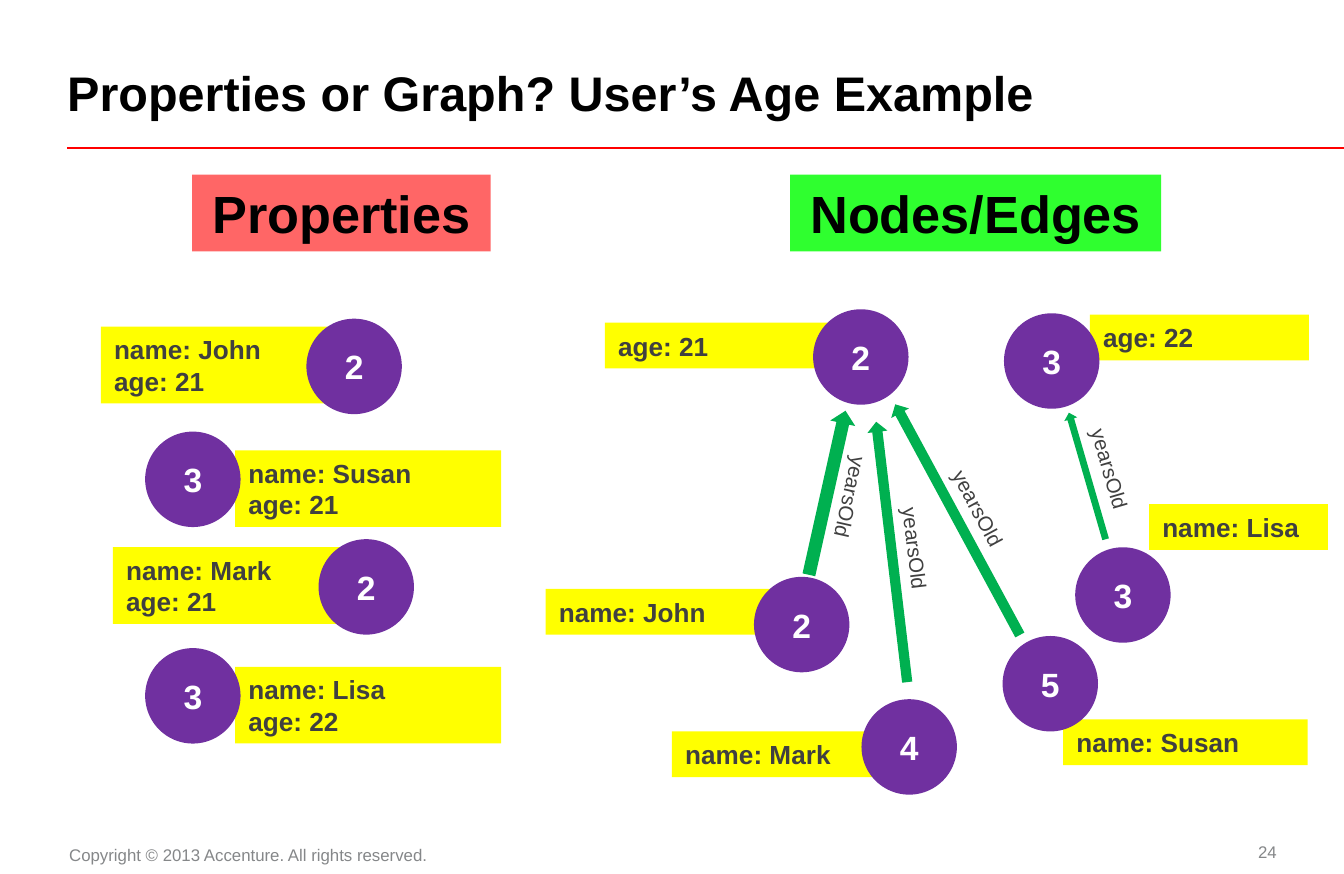
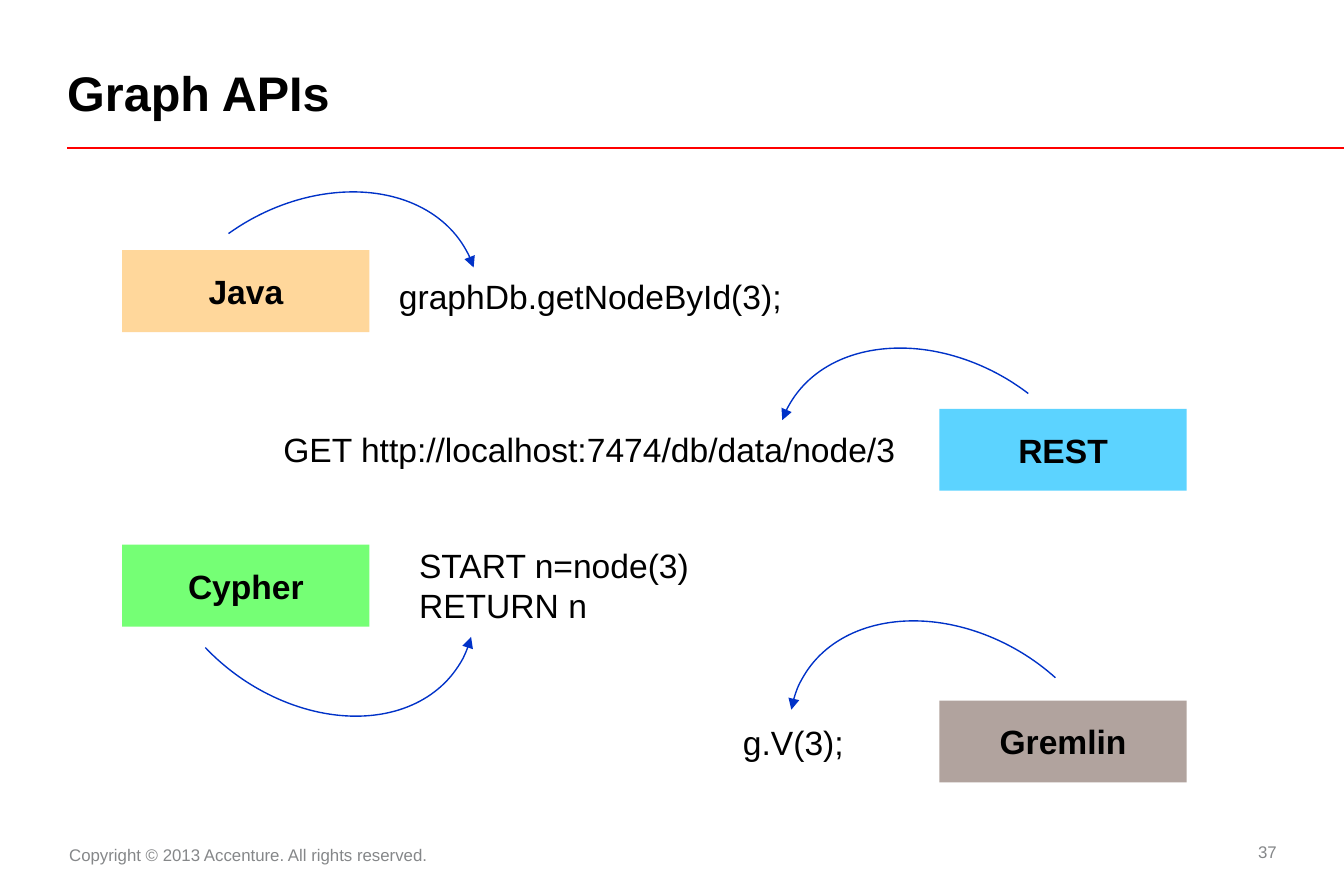
from math import cos, radians, sin

from lxml import etree
from pptx import Presentation
from pptx.dml.color import RGBColor
from pptx.enum.shapes import MSO_CONNECTOR, MSO_SHAPE
from pptx.enum.text import MSO_ANCHOR, MSO_AUTO_SIZE, PP_ALIGN
from pptx.oxml.ns import qn
from pptx.util import Pt

PX = 9144  # 100 px to the inch
LEFT, CENTER, RIGHT = PP_ALIGN.LEFT, PP_ALIGN.CENTER, PP_ALIGN.RIGHT
TOP, MIDDLE, BOTTOM = MSO_ANCHOR.TOP, MSO_ANCHOR.MIDDLE, MSO_ANCHOR.BOTTOM
RECT, OVAL = MSO_SHAPE.RECTANGLE, MSO_SHAPE.OVAL
ARROW, ARC = MSO_SHAPE.RIGHT_ARROW, MSO_SHAPE.ARC
FONT = "Arial"
COLORS = {
    "text": "000000", "label": "404040", "footer": "858789", "node_text": "FFFFFF",
    "rule": "FF0000", "node": "7030A0", "property": "FFFF00", "edge": "00B050",
    "properties": "FF6666", "graph": "2FFF2F", "curve": "0032C8",
    "java": "FFD79B", "rest": "5CD3FF", "gremlin": "B1A39E", "cypher": "75FF75",
}


def write(shape, text, size=18, color="text", bold=False, align=LEFT, anchor=MIDDLE,
          margins=(10, 5, 10, 5), wrap=True, spacing=None):
    frame = shape.text_frame
    frame.text = text
    frame.word_wrap = wrap
    frame.auto_size = MSO_AUTO_SIZE.NONE
    frame.vertical_anchor = anchor
    (frame.margin_left, frame.margin_top,
     frame.margin_right, frame.margin_bottom) = [m * PX for m in margins]
    for paragraph in frame.paragraphs:
        paragraph.alignment = align
        if spacing:
            paragraph.line_spacing = Pt(spacing)
        for run in paragraph.runs:
            run.font.name = FONT
            run.font.size = Pt(size)
            run.font.bold = bold
            run.font.color.rgb = RGBColor.from_string(COLORS[color])


def add(slide, kind, box, fill=None):
    """Add a preset shape, or a text box when kind is None."""
    box = [round(length) * PX for length in box]
    if kind is None:
        return slide.shapes.add_textbox(*box)
    shape = slide.shapes.add_shape(kind, *box)
    shape.shadow.inherit = False
    shape.line.fill.background()
    if fill:
        shape.fill.solid()
        shape.fill.fore_color.rgb = RGBColor.from_string(COLORS[fill])
    else:
        shape.fill.background()
    return shape


prs = Presentation()
prs.slide_width, prs.slide_height = 1000 * PX, 650 * PX

# Shared frame: title, rule, copyright and page number
slides = []
for heading, page in [("Properties or Graph? User’s Age Example", "24"),
                      ("Graph APIs", "37")]:
    slide = prs.slides.add_slide(prs.slide_layouts[5])
    slides.append(slide)
    title = slide.shapes.title
    title.left, title.top, title.width, title.height = [
        length * PX for length in (50, 16, 897, 74)]
    write(title, heading, size=26, bold=True, anchor=BOTTOM, margins=(0, 0, 0, 0),
          spacing=26)
    rule = slide.shapes.add_connector(
        MSO_CONNECTOR.STRAIGHT, 50 * PX, 110 * PX, 1000 * PX, 110 * PX)
    rule.line.color.rgb = RGBColor.from_string(COLORS["rule"])
    rule.line.width = Pt(1)
    etree.SubElement(rule.element.spPr, qn("a:effectLst"))
    write(add(slide, None, (49, 623, 281, 25)),
          "Copyright © 2013 Accenture. All rights reserved.", size=9, color="footer",
          align=CENTER, anchor=TOP, margins=(0, 5, 10, 5))
    write(add(slide, None, (891, 622, 59, 23)), page, size=9, color="footer",
          align=RIGHT, margins=(0, 0, 0, 0))
age_slide, api_slide = slides

# Slide 1: column headings
for text, box, fill in [("Properties", (143, 130, 222, 57), "properties"),
                        ("Nodes/Edges", (588, 130, 276, 57), "graph")]:
    write(add(age_slide, RECT, box, fill), text, size=28, bold=True, align=CENTER,
          wrap=False)

# Slide 1: nodes with their properties (text, left, top, width; node, left, top)
NODE = 71
for text, x, y, width, node, node_x, node_y in [
    ("name: John\nage: 21", 75, 243, 182, "2", 228, 237),
    ("name: Susan\nage: 21", 175, 335, 198, "3", 108, 321),
    ("name: Mark\nage: 21", 84, 407, 182, "2", 237, 401),
    ("name: Lisa\nage: 22", 175, 496, 198, "3", 108, 482),
    ("age: 21", 450, 240, 182, "2", 605, 230),
    ("age: 22", 811, 234, 163, "3", 747, 233),
    ("name: John", 406, 438, 182, "2", 561, 429),
    ("name: Mark", 500, 544, 163, "4", 641, 520),
    ("name: Susan", 791, 535, 182, "5", 746, 473),
    ("name: Lisa", 855, 375, 133, "3", 800, 407),
]:
    height = 57 if "\n" in text else 34
    write(add(age_slide, RECT, (x, y, width, height), "property"), text, size=14,
          color="label", bold=True)
    write(add(age_slide, OVAL, (node_x, node_y, NODE, NODE), "node"), node,
          color="node_text", bold=True, align=CENTER)

# Slide 1: edges, each with a label set beside it at the same slope
LABEL_W, LABEL_H, LABEL_GAP = 80, 18, 18
for x, y, length, thickness, slope in [
    (553, 357, 125, 19, 102.6),
    (566, 403, 195, 15, 83.2),
    (615, 379, 195, 15, 61.6),
    (760, 349, 98, 10, 73.8),
]:
    edge = add(age_slide, ARROW, (x, y, length, thickness), "edge")
    edge.adjustments[0] = 0.51
    edge.rotation = slope + 180
    label_x = x + length / 2 + LABEL_GAP * sin(radians(slope)) - LABEL_W / 2
    label_y = y + thickness / 2 - LABEL_GAP * cos(radians(slope)) - LABEL_H / 2
    label = add(age_slide, None, (label_x, label_y, LABEL_W, LABEL_H))
    label.rotation = slope
    write(label, "yearsOld", size=11, color="label", align=CENTER,
          margins=(0, 0, 0, 0))

# Slide 2: calls
for text, box, wrap in [
    ("GET http://localhost:7474/db/data/node/3", (201, 314, 480, 40), False),
    ("graphDb.getNodeById(3);", (287, 200, 308, 40), False),
    ("START n=node(3)\nRETURN n", (302, 400, 500, 71), True),
    ("g.V(3);", (543, 532, 96, 40), False),
]:
    write(add(api_slide, None, box), text, anchor=TOP, wrap=wrap)

# Slide 2: interfaces
for text, x, y in [("Java", 91, 186), ("REST", 699, 304),
                   ("Gremlin", 699, 521), ("Cypher", 91, 405)]:
    write(add(api_slide, RECT, (x, y, 184, 61), text.lower()), text, bold=True,
          align=CENTER, margins=(20, 15, 20, 15))

# Slide 2: curved arrows from interface to call
SHORT, LONG = (155.09, 3.79), (150.59, 7.28)
for x, y, rotation, flip, sweep in [
    (570, 268, 30.7, "flipH", SHORT),
    (105, 151, 331, None, SHORT),
    (105, 326, 35.4, "flipV", LONG),
    (580, 471, 210.8, "flipV", LONG),
]:
    curve = add(api_slide, ARC, (x, y, 258, 195))
    curve.adjustments[0], curve.adjustments[1] = sweep
    curve.rotation = rotation
    curve.line.color.rgb = RGBColor.from_string(COLORS["curve"])
    curve.line.width = Pt(0.75)
    properties = curve.element.spPr
    if flip:
        properties.find(qn("a:xfrm")).set(flip, "1")
    etree.SubElement(properties.find(qn("a:ln")), qn("a:tailEnd"), type="triangle")

prs.save("out.pptx")
